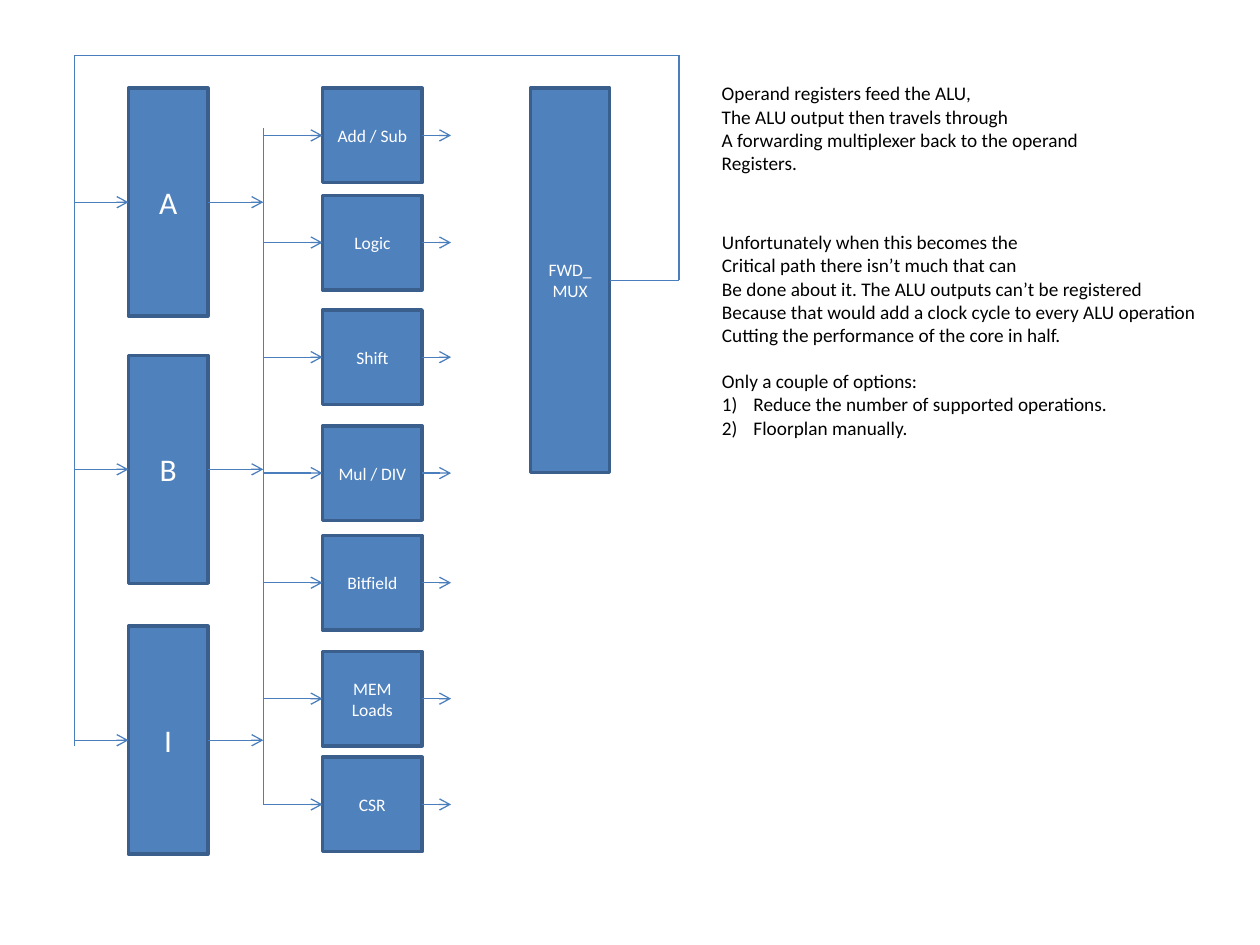
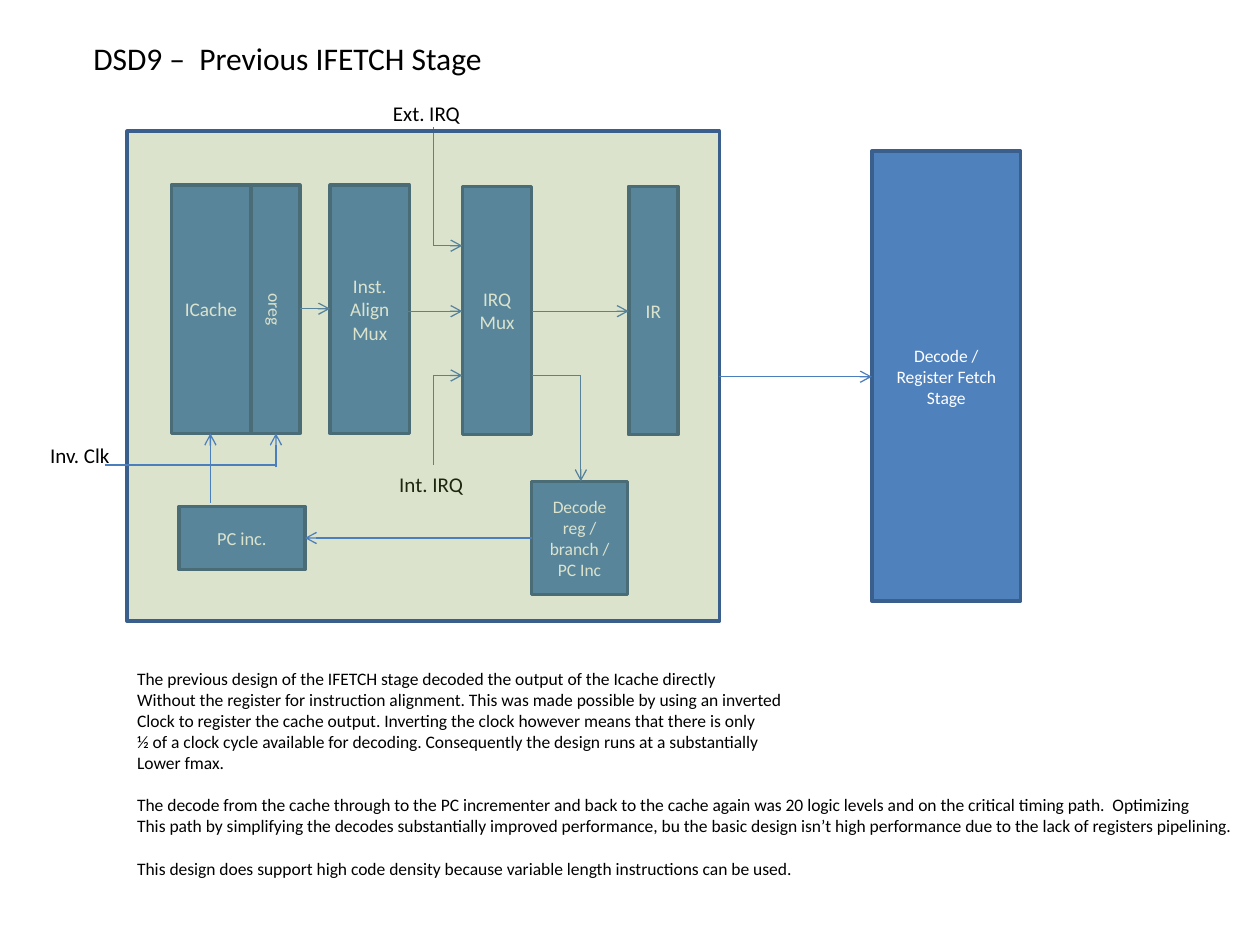
from dataclasses import dataclass
from itertools import pairwise

from lxml import etree
from pptx import Presentation
from pptx.dml.color import RGBColor
from pptx.enum.shapes import MSO_CONNECTOR, MSO_SHAPE
from pptx.enum.text import MSO_ANCHOR, MSO_AUTO_SIZE, PP_ALIGN
from pptx.oxml.ns import qn
from pptx.util import Inches, Pt

RECTANGLE = MSO_SHAPE.RECTANGLE
STRAIGHT = MSO_CONNECTOR.STRAIGHT
LEFT, CENTER = PP_ALIGN.LEFT, PP_ALIGN.CENTER
TOP, MIDDLE = MSO_ANCHOR.TOP, MSO_ANCHOR.MIDDLE
GROW = MSO_AUTO_SIZE.SHAPE_TO_FIT_TEXT
TITLE_AND_BODY, TITLE_ONLY = 1, 5


@dataclass(frozen=True)
class Theme:
    """Colours, type sizes and line widths shared by the slides."""

    font: str = "Calibri"
    fill: str = "4F81BD"
    edge: str = "3A5F8C"
    wire: str = "4B7EBC"
    panel: str = "77933C"
    panel_alpha: int = 26
    ink: str = "000000"
    light: str = "FFFFFF"
    title: float = 18
    label: float = 12
    body: float = 11
    medium: float = 10.5
    small: float = 10
    edge_width: float = 2
    wire_width: float = 0.75
    line_height: float = 1.22


THEME = Theme()


@dataclass(frozen=True)
class Box:
    """A region of the page, in inches."""

    left: float
    top: float
    width: float
    height: float

    def inner(self, left, top, width, height):
        """Return a box offset from this one's corner."""
        return Box(self.left + left, self.top + top, width, height)

    def lengths(self):
        """Return left, top, width and height as lengths."""
        return [Inches(v) for v in (self.left, self.top, self.width, self.height)]


def rgb(code):
    """Turn a hex code into a colour."""
    return RGBColor.from_string(code)


def write(shape, text, size=THEME.small, color=THEME.ink, align=LEFT,
          anchor=TOP, wrap=False, grow=True, numbered=()):
    """Write lines of text; a blank line becomes space before the next one."""
    frame = shape.text_frame
    frame.word_wrap = wrap
    frame.vertical_anchor = anchor
    frame.auto_size = GROW if grow else MSO_AUTO_SIZE.NONE
    para, gap = frame.paragraphs[0], 0
    for index, line in enumerate(text.split("\n")):
        if not line:
            gap += size * THEME.line_height
            continue
        if index:
            para = frame.add_paragraph()
        para.alignment = align
        para.space_before = Pt(round(gap, 1))
        gap = 0
        set_bullet(para, line in numbered)
        span = para.add_run()
        span.text = line
        span.font.name = THEME.font
        span.font.size = Pt(size)
        span.font.color.rgb = rgb(color)


def set_bullet(para, numbered):
    """Number a paragraph with a hanging indent, or leave it plain."""
    properties = para._p.get_or_add_pPr()
    indent = Inches(0.25) if numbered else 0
    properties.set("marL", str(indent))
    properties.set("indent", str(-indent))
    if numbered:
        bullet = etree.SubElement(properties, qn("a:buAutoNum"))
        bullet.set("type", "arabicParenR")
    else:
        etree.SubElement(properties, qn("a:buNone"))


def add_text(page, box, text, **style):
    """Add a text box."""
    write(page.shapes.add_textbox(*box.lengths()), text, **style)


def fill_placeholder(shape, box, text, **style):
    """Move a placeholder to a box and write in it."""
    shape.left, shape.top, shape.width, shape.height = box.lengths()
    write(shape, text, **style)


def add_block(page, box, text="", size=THEME.small, fill=THEME.fill):
    """Add an outlined rectangle with a centred label."""
    block = page.shapes.add_shape(RECTANGLE, *box.lengths())
    block.shadow.inherit = False
    block.fill.solid()
    block.fill.fore_color.rgb = rgb(fill)
    block.line.color.rgb = rgb(THEME.edge)
    block.line.width = Pt(THEME.edge_width)
    if text:
        write(block, text, size=size, color=THEME.light, align=CENTER,
              anchor=MIDDLE, wrap=True, grow=False)
    return block


def add_wire(page, box, *points, arrow=True):
    """Draw straight segments through points, with an arrow on the last."""
    for start, end in pairwise(points):
        ends = [Inches(v) for x, y in (start, end) for v in (box.left + x, box.top + y)]
        wire = page.shapes.add_connector(STRAIGHT, *ends)
        wire.line.color.rgb = rgb(THEME.wire)
        wire.line.width = Pt(THEME.wire_width)
        properties = wire._element.spPr
        etree.SubElement(properties, qn("a:effectLst"))
        if arrow and end == points[-1]:
            tail = etree.SubElement(properties.find(qn("a:ln")), qn("a:tailEnd"))
            tail.set("type", "arrow")


def draw_datapath(page, box):
    """Draw operand registers, ALU units and the forwarding loop."""
    register_left, register_width, register_height = 0.43, 0.63, 1.81
    unit_left, unit_width, unit_height = 1.97, 0.79, 0.75
    bus, mux_left, mux_height = 1.5, 3.62, 3.05
    registers = {"A": 0.26, "B": 2.38, "I": 4.53}
    units = {"Add / Sub": 0.26, "Logic": 1.11, "Shift": 2.02, "Mul / DIV": 2.94,
             "Bitfield": 3.81, "MEM\nLoads": 4.73, "CSR": 5.57}

    for name, top in registers.items():
        middle = top + register_height / 2
        add_block(page, box.inner(register_left, top, register_width, register_height),
                  name, size=THEME.title)
        add_wire(page, box, (0, middle), (register_left, middle))
        add_wire(page, box, (register_left + register_width, middle), (bus, middle))

    add_wire(page, box, (bus, 0.58), (bus, 5.95), arrow=False)
    for name, top in units.items():
        middle = top + unit_height / 2
        add_block(page, box.inner(unit_left, top, unit_width, unit_height), name)
        add_wire(page, box, (bus, middle), (unit_left, middle))
        add_wire(page, box, (unit_left + unit_width, middle), (2.99, middle))

    add_block(page, box.inner(mux_left, 0.26, register_width, mux_height), "FWD_MUX")
    middle = 0.26 + mux_height / 2
    add_wire(page, box, (mux_left + register_width, middle), (box.width, middle),
             (box.width, 0), (0, 0), (0, 5.48), arrow=False)


def write_datapath_notes(page, box):
    """Write the remarks beside the datapath."""
    add_text(page, box.inner(0, 0, 3.46, 0.84), (
        "Operand registers feed the ALU,\n"
        "The ALU output then travels through\n"
        "A forwarding multiplexer back to the operand\n"
        "Registers."), size=THEME.body)
    options = ("Reduce the number of supported operations.", "Floorplan manually.")
    fill_placeholder(page.placeholders[1], box.inner(0, 1.18, 4, 1.77), (
        "Unfortunately when this becomes the\n"
        "Critical path there isn’t much that can\n"
        "Be done about it. The ALU outputs can’t be registered\n"
        "Because that would add a clock cycle to every ALU operation\n"
        "Cutting the performance of the core in half.\n\n"
        "Only a couple of options:\n" + "\n".join(options)),
        size=THEME.body, numbered=options)


def draw_fetch_stage(page, box):
    """Draw the fetch stage, its translucent panel and its clock inputs."""
    height = 1.97
    blocks = [
        ("ICache", THEME.body, (0.35, 0.43, 0.63, height)),
        ("PC inc.", THEME.medium, (0.41, 2.98, 1, 0.5)),
        ("Inst. Align\nMux", THEME.body, (1.61, 0.43, 0.63, height)),
        ("IRQ Mux", THEME.body, (2.66, 0.44, 0.55, height)),
        ("IR", THEME.body, (3.98, 0.44, 0.39, height)),
        ("Decode reg / branch /\nPC Inc", THEME.small, (3.21, 2.78, 0.76, 0.9)),
    ]
    for name, size, place in blocks:
        add_block(page, box.inner(*place), name, size=size)
    output_register = add_block(page, box.inner(0.98, 0.43, 0.39, height), "oreg")
    output_register.text_frame._txBody.bodyPr.set("vert", "vert")

    inside_wires = [
        [(1.37, 1.41), (1.61, 1.41)],
        [(2.2, 1.43), (2.66, 1.43)],
        [(3.21, 1.43), (3.98, 1.43)],
        [(2.43, -0.03), (2.43, 0.91), (2.66, 0.91)],
        [(2.43, 2.65), (2.43, 1.94), (2.66, 1.94)],
        [(3.21, 1.94), (3.6, 1.94), (3.6, 2.78)],
    ]
    for points in inside_wires:
        add_wire(page, box, *points)
    add_text(page, box.inner(2.01, -0.29, 0.74, 0.3), "Ext. IRQ", size=THEME.label)
    add_text(page, box.inner(2.06, 2.65, 0.71, 0.3), "Int. IRQ", size=THEME.label)

    panel = add_block(page, box, fill=THEME.panel)
    color = panel._element.spPr.find(qn("a:solidFill"))[0]
    etree.SubElement(color, qn("a:alpha")).set("val", str(THEME.panel_alpha * 1000))

    add_wire(page, box, (3.21, 3.23), (1.41, 3.23))
    add_wire(page, box, (0.66, 2.95), (0.66, 2.4))
    add_wire(page, box, (-0.18, 2.65), (1.18, 2.65), arrow=False)
    add_wire(page, box, (1.18, 2.67), (1.18, 2.4))
    add_text(page, box.inner(-0.71, 2.42, 0.68, 0.3), "Inv. Clk", size=THEME.label)


def draw_decode_stage(page, box):
    """Draw the decode stage and the wire that feeds it."""
    add_block(page, box, "Decode / Register Fetch Stage")
    add_wire(page, box, (-1.21, 1.79), (0, 1.79))


def write_fetch_notes(page, box):
    """Write the remarks below the fetch stage."""
    add_text(page, box, (
        "The previous design of the IFETCH stage decoded the output of the Icache directly\n"
        "Without the register for instruction alignment. This was made possible by using an inverted\n"
        "Clock to register the cache output. Inverting the clock however means that there is only\n"
        "½ of a clock cycle available for decoding. Consequently the design runs at a substantially\n"
        "Lower fmax.\n\n"
        "The decode from the cache through to the PC incrementer and back to the cache again was "
        "20 logic levels and on the critical timing path.  Optimizing\n"
        "This path by simplifying the decodes substantially improved performance, bu the basic "
        "design isn’t high performance due to the lack of registers pipelining.\n\n"
        "This design does support high code density because variable length instructions can be used."))


def build_datapath_page(deck):
    """Build the slide on the ALU forwarding path."""
    page = deck.slides.add_slide(deck.slide_layouts[TITLE_AND_BODY])
    title = page.shapes.title._element
    title.getparent().remove(title)
    draw_datapath(page, Box(0.59, 0.44, 4.8, 6.34))
    write_datapath_notes(page, Box(5.63, 0.6, 4, 2.95))


def build_fetch_page(deck):
    """Build the slide on the previous fetch stage."""
    page = deck.slides.add_slide(deck.slide_layouts[TITLE_ONLY])
    fill_placeholder(page.shapes.title, Box(0.64, 0.26, 3.32, 0.4),
                     "DSD9 –  Previous IFETCH Stage", size=THEME.title)
    draw_fetch_stage(page, Box(1.01, 1.04, 4.7, 3.89))
    draw_decode_stage(page, Box(6.92, 1.2, 1.18, 3.57))
    write_fetch_notes(page, Box(0.99, 5.25, 8.94, 1.78))


def main():
    """Build and save the deck."""
    deck = Presentation()
    deck.slide_width, deck.slide_height = Inches(10), Inches(7.5)
    build_datapath_page(deck)
    build_fetch_page(deck)
    deck.save("out.pptx")


if __name__ == "__main__":
    main()
